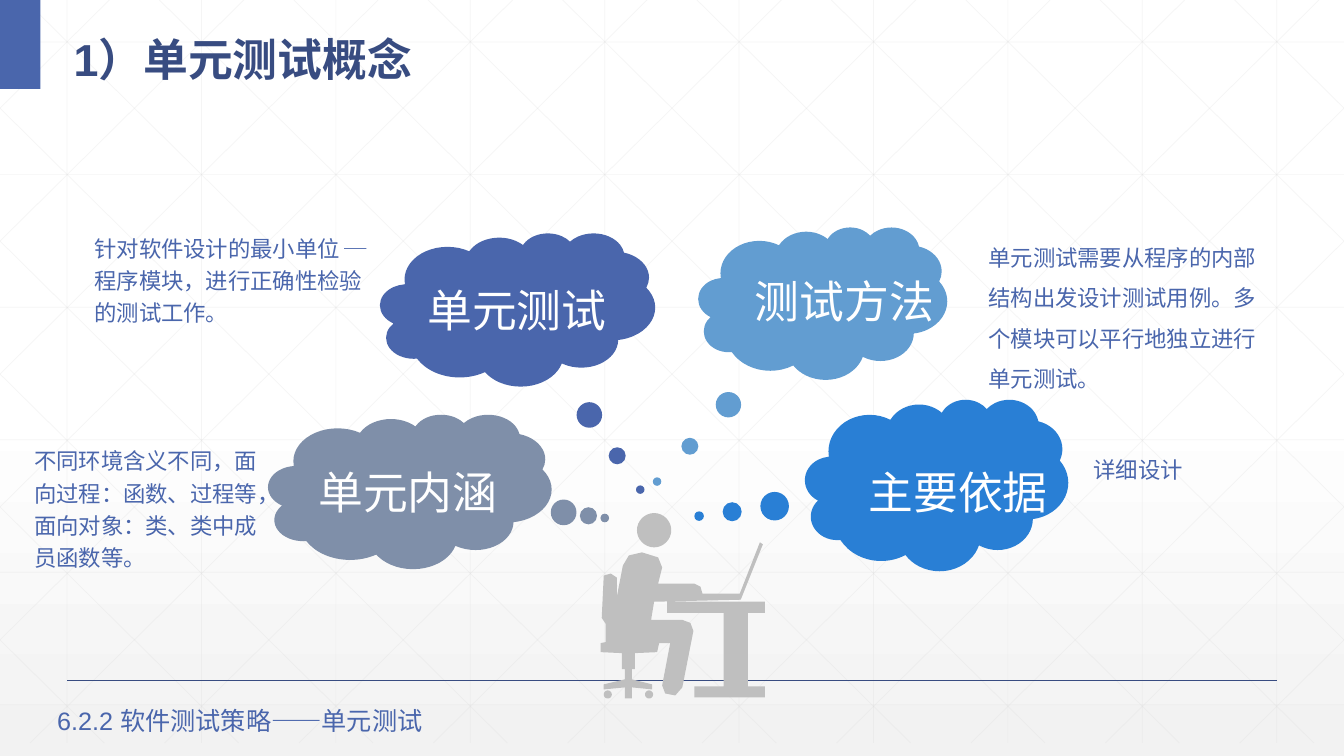
from math import cos, pi, sin

from lxml import etree
from pptx import Presentation
from pptx.dml.color import RGBColor
from pptx.enum.shapes import MSO_CONNECTOR, MSO_SHAPE
from pptx.enum.text import MSO_ANCHOR, MSO_AUTO_SIZE, PP_ALIGN
from pptx.oxml.ns import qn
from pptx.util import Cm, Pt

STRAIGHT = MSO_CONNECTOR.STRAIGHT
RECT, CLOUD = MSO_SHAPE.RECTANGLE, MSO_SHAPE.CLOUD_CALLOUT
MIDDLE, LEFT = MSO_ANCHOR.MIDDLE, PP_ALIGN.LEFT
NO_RESIZE = MSO_AUTO_SIZE.NONE
WHITE = RGBColor(0xFF, 0xFF, 0xFF)
PALE = RGBColor(0xF2, 0xF2, 0xF2)
GRID = RGBColor(0xD9, 0xD9, 0xD9)
GRAY = RGBColor(0xBF, 0xBF, 0xBF)
NAVY = RGBColor(0x38, 0x4C, 0x81)
INDIGO = RGBColor(0x4A, 0x66, 0xAC)
SLATE = RGBColor(0x7F, 0x8F, 0xA9)
SKY = RGBColor(0x62, 0x9D, 0xD1)
BLUE = RGBColor(0x29, 0x7F, 0xD5)
CJK, LATIN = "Noto Sans CJK SC", "Arial"
W, H = 33.87, 19.05

prs = Presentation()
prs.slide_width, prs.slide_height = Cm(W), Cm(H)
s = prs.slides.add_slide(prs.slide_layouts[5])


def add_line(x1, y1, x2, y2, color, width, alpha=None):
    ln = s.shapes.add_connector(STRAIGHT, Cm(x1), Cm(y1), Cm(x2), Cm(y2))
    ln.line.color.rgb = color
    ln.line.width = Pt(width)
    sp_pr = ln.element.spPr
    if alpha:
        clr = sp_pr.find(".//" + qn("a:srgbClr"))
        etree.SubElement(clr, qn("a:alpha"), val=str(alpha * 1000))
    etree.SubElement(sp_pr, qn("a:effectLst"))


def add_text(text, box, size=16, font=CJK, color=INDIGO, bold=False,
             spacing=1.0, wrap=True, anchor=None, sp=None):
    x, y, w, h = [Cm(v) for v in box]
    if sp is None:
        sp = s.shapes.add_textbox(x, y, w, h)
    sp.left, sp.top, sp.width, sp.height = x, y, w, h
    tf = sp.text_frame
    tf.word_wrap = wrap
    tf.auto_size = NO_RESIZE
    if anchor is not None:
        tf.vertical_anchor = anchor
    p = tf.paragraphs[0]
    p.alignment = LEFT
    p.line_spacing = spacing
    r = p.add_run()
    r.text = text
    r.font.size, r.font.name, r.font.bold = Pt(size), font, bold
    r.font.color.rgb = color
    etree.SubElement(r.font._element, qn("a:ea"), typeface=CJK)


bg = s.background.fill
bg.gradient()
bg.gradient_angle = 270
for stop, color, position in zip(bg.gradient_stops, (WHITE, PALE), (0.53, 1)):
    stop.color.rgb = color
    stop.position = position

STEP, GRID_BOTTOM, RUN = 3.387, 18.72, 18.93
SLOPE = GRID_BOTTOM / RUN
for i in range(10):
    x = 1.69 + STEP * i
    add_line(x, 0, x, GRID_BOTTOM, GRID, 0.5, alpha=25)
for i in range(6):
    y = 1.06 + 3.34 * i
    add_line(0, y, W, y, GRID, 0.5, alpha=25)
for i in range(-5, 10):
    start = 0.63 + STEP * i
    x1, x2 = max(start, 0), min(start + RUN, W)
    y1, y2 = (x1 - start) * SLOPE, (x2 - start) * SLOPE
    add_line(x1, y1, x2, y2, GRID, 0.5, alpha=25)
    add_line(W - x1, y1, W - x2, y2, GRID, 0.5, alpha=25)

add_line(1.7, 17.15, 32.18, 17.15, NAVY, 1)
bar = s.shapes.add_shape(RECT, 0, 0, Cm(1.02), Cm(2.24))
bar.shadow.inherit = False
bar.fill.solid()
bar.fill.fore_color.rgb = INDIGO
bar.line.fill.background()

title = s.shapes.title
title.element.getparent().append(title.element)
add_text("1）单元测试概念", (1.6, 0.36, 30.61, 1.85), size=32, font=LATIN,
         color=NAVY, bold=True, spacing=1.3, anchor=MIDDLE, sp=title)

HEAD_AND_WHEELS = [(53, 17, 17), (7, 180, 4), (48, 180, 4)]
SITTER = [
    (0, 129), (0, 138), (21, 139), (21, 155), (24, 155), (24, 165), (3, 170),
    (3, 175), (24, 173), (24, 184), (31, 184), (31, 173), (51, 175),
    (51, 170), (31, 165), (31, 155), (34, 155), (34, 139), (56, 138),
    (58, 129), (69, 129), (61, 171), (64, 179), (74, 181), (81, 173),
    (92, 117), (89, 109), (81, 106), (50, 106), (53, 88), (139, 86),
    (161, 31), (158, 29), (138, 80), (101, 80), (99, 73), (93, 70), (57, 70),
    (61, 54), (57, 44), (41, 39), (28, 42), (22, 52), (16, 83), (16, 64),
    (10, 60), (3, 62), (1, 104), (5, 110), (5, 128)]
DESK = [(122, 172), (93, 172), (93, 183), (163, 183), (163, 172), (146, 172),
        (146, 99), (163, 99), (163, 88), (66, 88), (66, 99), (122, 99)]
CIRCLE_POINTS = 32
angles = [2 * pi * n / CIRCLE_POINTS for n in range(CIRCLE_POINTS)]
outlines = [[(cx + r * cos(a), cy + r * sin(a)) for a in angles]
            for cx, cy, r in HEAD_AND_WHEELS] + [SITTER, DESK]
builder = s.shapes.build_freeform(scale=Cm(0.00254))
for outline in outlines:
    points = [(x * 10, y * 10) for x, y in outline]
    builder.move_to(*points[0])
    builder.add_line_segments(points[1:], close=True)
worker = builder.convert_to_shape(Cm(15.14), Cm(12.93))
worker.shadow.inherit = False
worker.fill.solid()
worker.fill.fore_color.rgb = GRAY
worker.line.fill.background()

CLOUDS = [
    ("单元测试", INDIGO, (9.58, 5.87, 6.93, 3.86), (0.446, 1.176), (10.52, 6.99)),
    ("单元内涵", SLATE, (6.76, 10.44, 7.14, 3.89), (0.688, 0.172), (7.77, 11.56)),
    ("测试方法", SKY, (17.6, 5.72, 6.27, 3.84), (-0.666, 1.171), (18.77, 6.76)),
    ("主要依据", BLUE, (20.29, 10.06, 6.63, 4.32), (-0.903, 0.182), (21.64, 11.56)),
]
for label, color, box, tail, (x, y) in CLOUDS:
    cloud = s.shapes.add_shape(CLOUD, *[Cm(v) for v in box])
    cloud.adjustments[0], cloud.adjustments[1] = tail
    cloud.shadow.inherit = False
    cloud.fill.solid()
    cloud.fill.fore_color.rgb = color
    cloud.line.fill.background()
    add_text(label, (x, y, 5.08, 1.63), size=32, color=WHITE, wrap=False,
             anchor=MIDDLE)

NOTES = [
    ("不同环境含义不同，面向过程：函数、过程等，面向对象：类、类中成员函数等。",
     (0.61, 11.02, 6.55, 3.48), 1.2),
    ("针对软件设计的最小单位 ─ 程序模块，进行正确性检验的测试工作。",
     (2.13, 5.66, 7.75, 2.72), 1.2),
    ("单元测试需要从程序的内部结构出发设计测试用例。多个模块可以平行地独立进行单元测试。",
     (24.66, 5.69, 7.67, 4.37), 1.5),
    ("详细设计", (27.31, 11.02, 6.05, 1.27), 1.5),
]
for text, box, spacing in NOTES:
    add_text(text, box, spacing=spacing)
add_text("6.2.2 软件测试策略——单元测试", (1.19, 17.65, 11.73, 1.02),
         size=18, font=LATIN)

prs.save("out.pptx")
